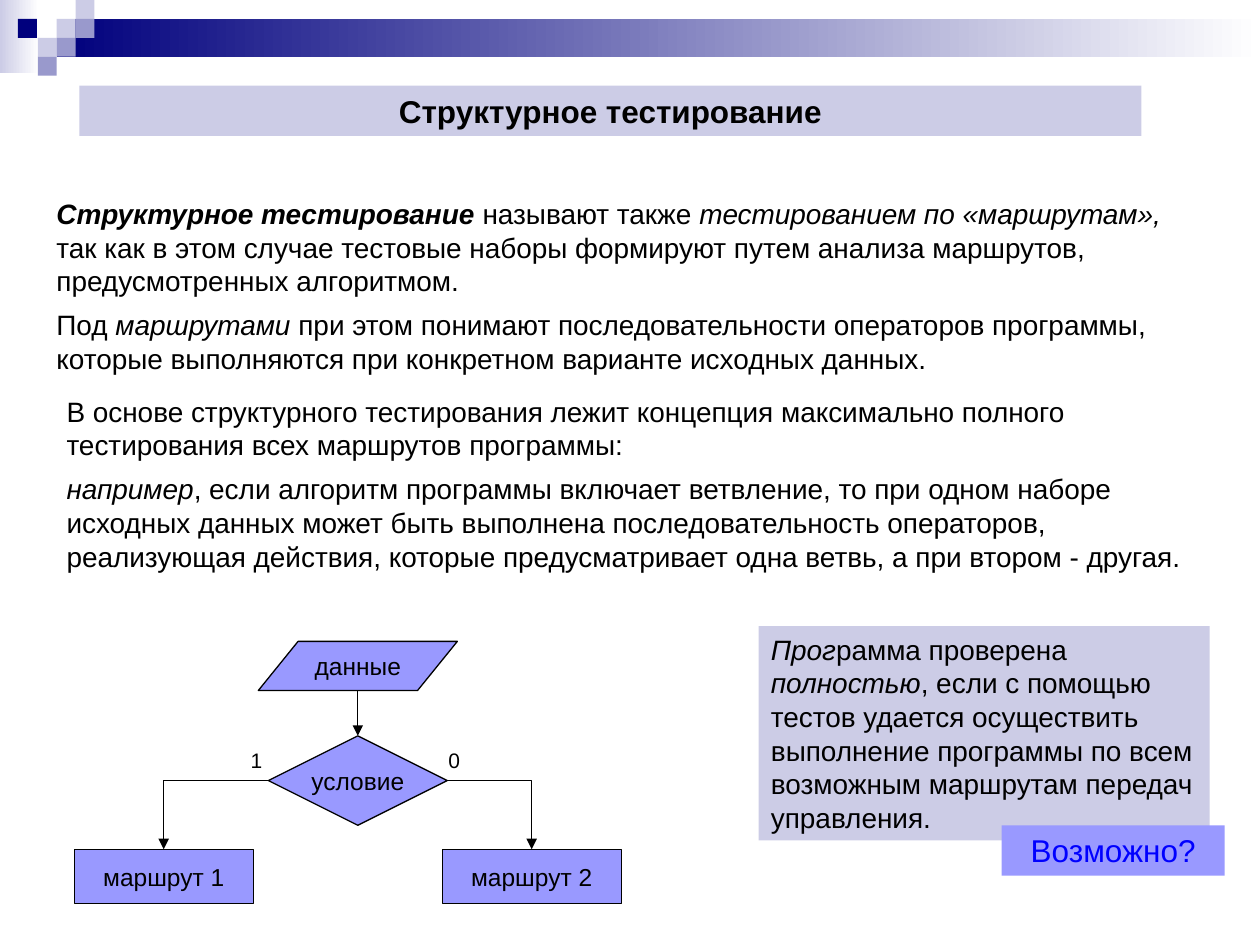
import lxml.etree
import pptx
import pptx.dml.color
import pptx.enum.shapes
import pptx.enum.text
import pptx.oxml.ns
import pptx.util

Inches = pptx.util.Inches
Pt = pptx.util.Pt
SHAPE = pptx.enum.shapes.MSO_SHAPE
CONNECTOR = pptx.enum.shapes.MSO_CONNECTOR
CENTER = pptx.enum.text.PP_ALIGN.CENTER
MIDDLE = pptx.enum.text.MSO_ANCHOR.MIDDLE
GROW = pptx.enum.text.MSO_AUTO_SIZE.SHAPE_TO_FIT_TEXT
qn = pptx.oxml.ns.qn

NAVY, PALE, MUTED, VIVID = "00007D", "CCCCE6", "9999CC", "9999FF"
BLACK, WHITE, BLUE = "000000", "FFFFFF", "0000FF"


def color(value):
    """Turn a hex string into a colour."""
    return pptx.dml.color.RGBColor.from_string(value)


def add_box(page, box, fill, kind=SHAPE.RECTANGLE, line=None):
    """Add a preset shape with a solid fill, or a gradient if fill is a pair."""
    shape = page.shapes.add_shape(kind, *map(Inches, box))
    shape.shadow.inherit = False
    if isinstance(fill, tuple):
        shape.fill.gradient()
        shape.fill.gradient_angle = 0
        for stop, value in zip(shape.fill.gradient_stops, fill):
            stop.color.rgb = color(value)
    else:
        shape.fill.solid()
        shape.fill.fore_color.rgb = color(fill)
    if line:
        shape.line.color.rgb = color(line)
        shape.line.width = Pt(0.75)
    else:
        shape.line.fill.background()
    return shape


def write(shape, paragraphs, size, ink=BLACK, align=None, before=0, after=0, bold=None):
    """Fill a shape with paragraphs, each a list of (text, style) with style from 'b' and 'i'."""
    frame = shape.text_frame
    frame.word_wrap = True
    frame.auto_size = GROW
    frame.vertical_anchor = pptx.enum.text.MSO_ANCHOR.TOP
    for index, spans in enumerate(paragraphs):
        para = frame.paragraphs[0] if index == 0 else frame.add_paragraph()
        para.alignment = align or pptx.enum.text.PP_ALIGN.LEFT
        para.space_before, para.space_after = Pt(before), Pt(after)
        para.font.name, para.font.size, para.font.bold = "Arial", Pt(size), bold
        para.font.color.rgb = color(ink)
        for text, style in spans:
            span = para.add_run()
            span.text = text
            if "b" in style:
                span.font.bold = True
            if "i" in style:
                span.font.italic = True
    return frame


def add_text(page, box, paragraphs, size, **options):
    """Add a wrapping text box."""
    return write(page.shapes.add_textbox(*map(Inches, box)), paragraphs, size, **options)


def add_arrow(page, kind, start, end):
    """Add a thin black connector with an arrowhead at its end."""
    arrow = page.shapes.add_connector(kind, *map(Inches, start + end))
    arrow.line.color.rgb = color(BLACK)
    arrow.line.width = Pt(0.75)
    lxml.etree.SubElement(arrow.line._get_or_add_ln(), qn("a:tailEnd"), type="triangle")
    properties = arrow._element.spPr
    lxml.etree.SubElement(properties, qn("a:effectLst"))
    if kind == CONNECTOR.ELBOW:
        properties.find(qn("a:prstGeom")).set("prst", "bentConnector2")
    return arrow


def add_banner(page, box):
    """Draw the gradient bars and the mosaic of squares along the top."""
    left, top, width, height = box
    cell = 0.15
    add_box(page, (left, top, 0.31, height), (PALE, WHITE))
    add_box(page, (left + 3 * cell, top + cell, width - 3 * cell, 2 * cell), (NAVY, WHITE))
    mosaic = [(3, 1, PALE), (4, 0, PALE), (4, 1, MUTED), (2, 2, PALE),
              (0.95, 1, NAVY), (3, 2, MUTED), (2, 3, MUTED)]
    for column, row, fill in mosaic:
        add_box(page, (left + column * cell, top + row * cell, cell, cell), fill)


def add_step(page, box, kind, label):
    """Add one labelled flowchart block."""
    block = add_box(page, box, VIVID, kind, BLACK)
    frame = write(block, [[(label, "")]], 14, align=CENTER)
    frame.word_wrap = False
    frame.auto_size = pptx.enum.text.MSO_AUTO_SIZE.NONE
    frame.vertical_anchor = MIDDLE


def add_flowchart(page, box):
    """Draw a branch: data, a condition and one route on each side."""
    left, top, width, height = box
    block, data_width, data_height = 1.42, 1.58, 0.39
    center = left + 2.25
    diamond_top, diamond_height, route_height = top + 0.75, 0.71, 0.43
    branch_y = diamond_top + diamond_height / 2
    route_top = top + height - route_height
    add_step(page, (center - data_width / 2, top, data_width, data_height),
             SHAPE.FLOWCHART_DATA, "данные")
    add_step(page, (center - block / 2, diamond_top, block, diamond_height),
             SHAPE.FLOWCHART_DECISION, "условие")
    diamond = page.shapes[-1]
    routes = [(left, -1, "маршрут 1", "1", -0.95),
              (left + width - block, 1, "маршрут 2", "0", 0.62)]
    for route_left, side, label, mark, offset in routes:
        add_step(page, (route_left, route_top, block, route_height),
                 SHAPE.FLOWCHART_PROCESS, label)
        add_arrow(page, CONNECTOR.ELBOW, (center + side * block / 2, branch_y),
                  (route_left + block / 2, route_top))
        add_text(page, (center + offset, top + 0.79, 0.27, 0.3), [[(mark, "")]], 12, before=7.5)
    entry = add_arrow(page, CONNECTOR.STRAIGHT, (center, top + data_height), (center, diamond_top))
    entry.end_connect(diamond, 0)


def add_title(page, box):
    """Add the heading strip."""
    write(add_box(page, box, PALE), [[("Структурное тестирование", "")]], 18,
          align=CENTER, before=11.2, bold=True)


def add_body(page, box):
    """Add the definition and, below it, the concept with its example."""
    left, top, width, height = box
    definition = [
        [("Структурное тестирование ", "bi"), ("называют также ", ""),
         ("тестированием по «маршрутам»,", "i"),
         (" так как в этом случае тестовые наборы формируют путем анализа маршрутов, "
          "предусмотренных алгоритмом.", "")],
        [("Под ", ""), ("маршрутами ", "i"),
         ("при этом понимают последовательности операторов программы, "
          "которые выполняются при конкретном варианте исходных данных.", "")],
    ]
    concept = [
        [("В основе структурного тестирования лежит концепция максимально полного "
          "тестирования всех маршрутов программы:", "")],
        [("например", "i"),
         (", если алгоритм программы включает ветвление, то при одном наборе исходных данных "
          "может быть выполнена последовательность операторов, реализующая действия, "
          "которые предусматривает одна ветвь, а при втором - другая.", "")],
    ]
    add_text(page, (left, top, width, 1.52), definition, 16, after=6)
    add_text(page, (left + 0.08, top + 1.57, 9.1, height - 1.57), concept, 16, after=6)


def add_conclusion(page, box):
    """Add the conclusion panel and the question overlapping its corner."""
    left, top, width, height = box
    conclusion = [
        [("Прог", "i"), ("рамма проверена ", ""), ("полностью", "i"),
         (", если с помощью тестов удается осуществить", "")],
        [("выполнение программы по всем возможным маршрутам передач управления.", "")],
    ]
    write(add_box(page, (left, top, 3.58, 1.7), PALE), conclusion, 16)
    question = add_box(page, (left + width - 1.77, top + height - 0.4, 1.77, 0.4), VIVID)
    write(question, [[("Возможно?", "")]], 18, ink=BLUE, align=CENTER, before=11.2)


def main():
    """Build the slide and save it."""
    deck = pptx.Presentation()
    deck.slide_width, deck.slide_height = Inches(10), Inches(7.5)
    page = deck.slides.add_slide(deck.slide_layouts[6])
    add_banner(page, (0, 0, 10, 0.58))
    add_title(page, (0.63, 0.68, 8.43, 0.4))
    add_body(page, (0.35, 1.51, 9.33, 3.36))
    add_flowchart(page, (0.59, 5.09, 4.34, 2.08))
    add_conclusion(page, (6.02, 4.97, 3.7, 1.98))
    deck.save("out.pptx")


if __name__ == "__main__":
    main()
